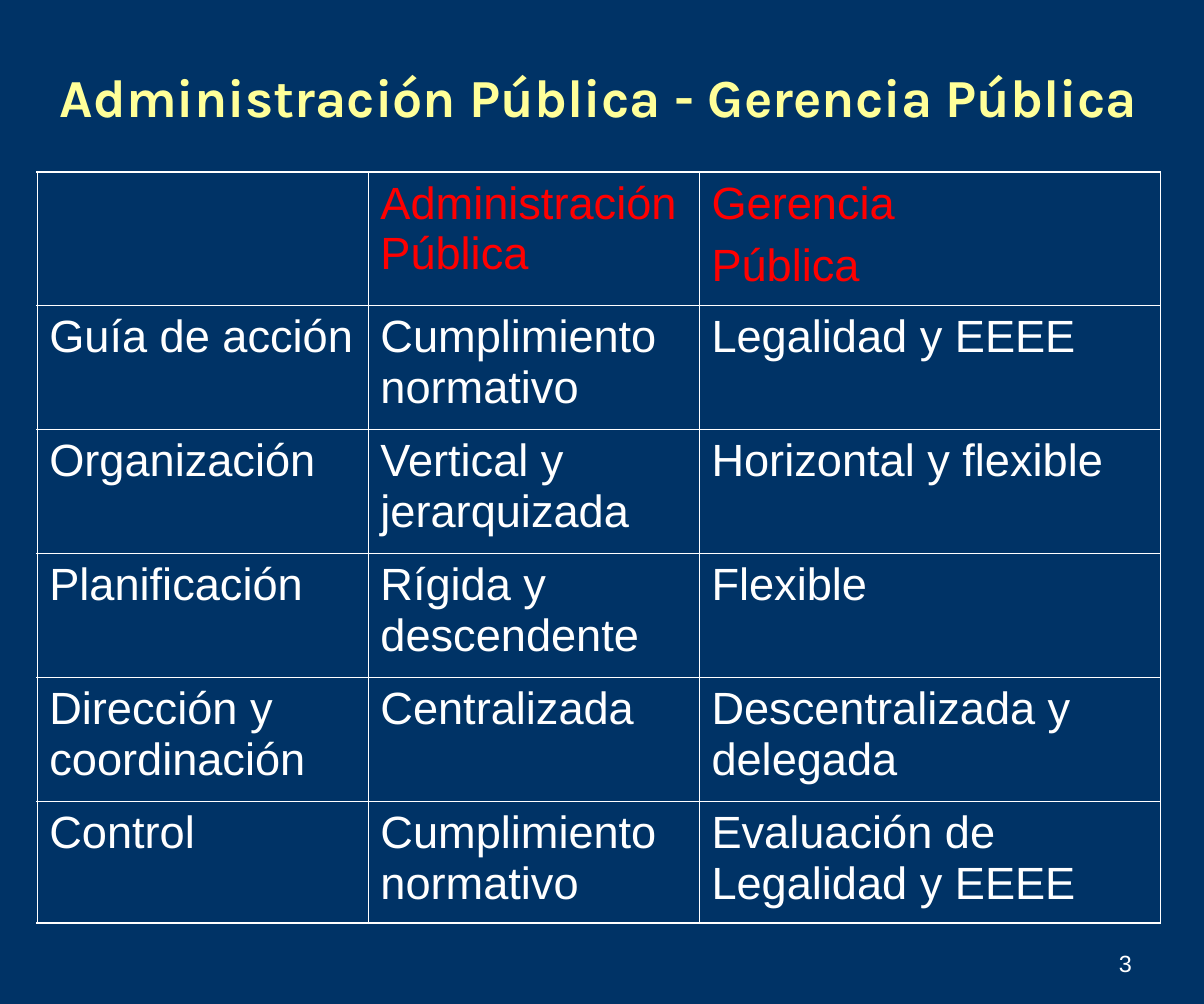
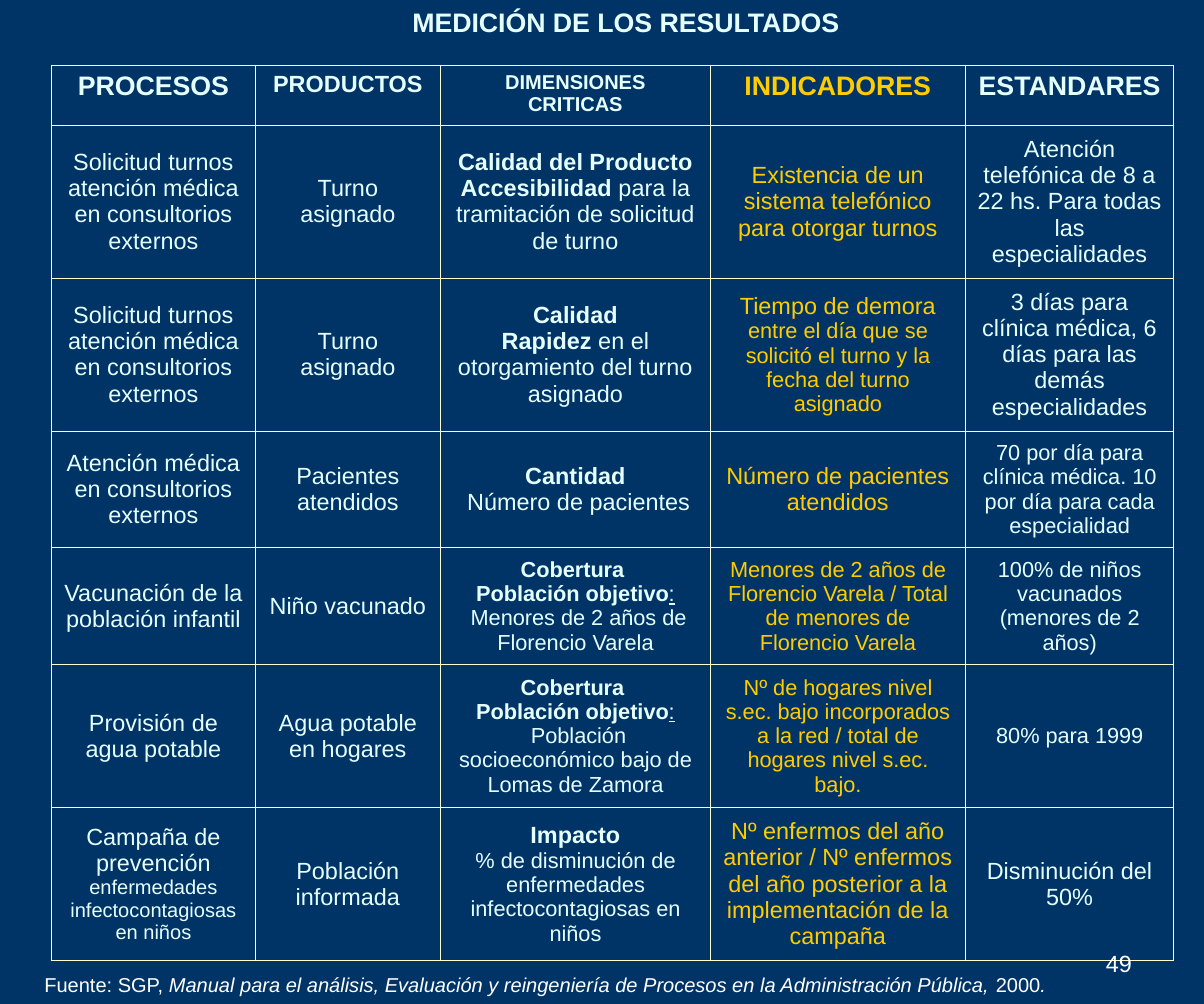
import copy

import pptx
import pptx.dml.color
import pptx.enum.text
import pptx.oxml
import pptx.oxml.ns
import pptx.util

Inches = pptx.util.Inches
Pt = pptx.util.Pt
ALIGN = pptx.enum.text.PP_ALIGN
ANCHOR = pptx.enum.text.MSO_ANCHOR

COLORS = {
    "navy": "003366",
    "lemon": "FFFF99",
    "cream": "FFFFCC",
    "white": "FFFFFF",
    "ice": "E5FFFF",
    "gold": "FFCC00",
    "red": "FF0000",
}


def rgb(name):
    return pptx.dml.color.RGBColor.from_string(COLORS[name])


def run(text, **look):
    """One run of text with what differs from its box."""
    return text, look


class Deck:
    def __init__(self, width, height):
        self.show = pptx.Presentation()
        self.show.slide_width = Inches(width)
        self.show.slide_height = Inches(height)
        self.slide = None

    def page(self, number):
        self.slide = self.show.slides.add_slide(self.show.slide_layouts[6])
        fill = self.slide.background.fill
        fill.solid()
        fill.fore_color.rgb = rgb("navy")
        self.number = number

    def footer(self):
        self.text((7.17, 7.59, 2.33, 0.58), self.number, size=14,
                  align=ALIGN.RIGHT, anchor=ANCHOR.BOTTOM)

    def put(self, frame, content, size, color="white", bold=False,
            font="Arial", align=ALIGN.LEFT, gap=0):
        """Fill a frame; content is a string or a list of paragraphs' runs."""
        paras = [[run(content)]] if isinstance(content, str) else content
        for i, runs in enumerate(paras):
            para = frame.add_paragraph() if i else frame.paragraphs[0]
            para.alignment = align
            if i:
                para.space_before = Pt(gap)
            for text, look in runs:
                base = {"size": size, "bold": bold, "italic": False,
                        "underline": False}
                self.add(para, text, {**base, **look}, color, font)

    def add(self, para, text, look, color, font):
        for i, line in enumerate(text.split("\n")):
            if i:
                para.add_line_break()
                # the break keeps the height of its line
                para._p[-1].append(copy.deepcopy(part._r.rPr))
            if line:
                part = para.add_run()
                part.text = line
                part.font.name = font
                part.font.size = Pt(look["size"])
                part.font.bold = look["bold"]
                part.font.italic = look["italic"]
                part.font.underline = look["underline"]
                part.font.color.rgb = rgb(color)

    def text(self, place, content, anchor=ANCHOR.TOP, **style):
        box = self.slide.shapes.add_textbox(*map(Inches, place))
        frame = box.text_frame
        frame.word_wrap = True
        frame.vertical_anchor = anchor
        self.put(frame, content, **style)

    def table(self, place, widths, heights, rows, style, line, edge):
        """Draw a grid; style(row, col) gives the anchor and text style."""
        left, top = place
        shape = self.slide.shapes.add_table(
            len(heights), len(widths), Inches(left), Inches(top),
            Inches(sum(widths)), Inches(sum(heights)))
        grid = shape.table
        grid.first_row = grid.horz_banding = False
        for col, width in zip(grid.columns, widths):
            col.width = Inches(width)
        for row, height in zip(grid.rows, heights):
            row.height = Inches(height)
        for r, row in enumerate(rows):
            for c, content in enumerate(row):
                cell = grid.cell(r, c)
                cell.fill.background()
                outer = {"L": c == 0, "R": c == len(widths) - 1,
                         "T": r == 0, "B": r == len(heights) - 1}
                self.border(cell, line, outer, edge)
                anchor, look = style(r, c)
                cell.vertical_anchor = anchor
                if content:
                    self.put(cell.text_frame, content, **look)

    def border(self, cell, color, outer, edge):
        props = cell._tc.get_or_add_tcPr()
        for i, (side, rim) in enumerate(outer.items()):
            width = Pt(edge if rim else 0.45)
            props.insert(i, pptx.oxml.parse_xml(
                f'<a:ln{side} {pptx.oxml.ns.nsdecls("a")} w="{width}">'
                f'<a:solidFill><a:srgbClr val="{COLORS[color]}"/>'
                f'</a:solidFill></a:ln{side}>'))


def compare(deck):
    deck.page("3")
    deck.text((0.23, 0.23, 9.49, 1.13),
              "Administración Pública - Gerencia Pública",
              anchor=ANCHOR.MIDDLE, size=32, color="lemon", bold=True,
              font="Karla", align=ALIGN.CENTER)

    rows = [
        ["", "Administración Pública", [[run("Gerencia")], [run("Pública")]]],
        ["Guía de acción", "Cumplimiento normativo", "Legalidad y EEEE"],
        ["Organización", "Vertical y jerarquizada", "Horizontal y flexible"],
        ["Planificación", "Rígida y descendente", "Flexible"],
        ["Dirección y coordinación", "Centralizada",
         "Descentralizada y delegada"],
        ["Control", "Cumplimiento normativo",
         "Evaluación de Legalidad y EEEE"],
    ]

    def style(r, c):
        color = "white" if r else "red"
        return ANCHOR.TOP, {"size": 27, "color": color, "gap": 6.8}

    deck.table((0.31, 1.43), [2.75, 2.75, 3.83], [1.11] + [1.03] * 4 + [1.01],
               rows, style, "white", 1.08)
    deck.footer()


def measure(deck):
    deck.page("49")
    deck.text((2.01, 0, 6.38, 0.37), "MEDICIÓN DE LOS RESULTADOS", size=16,
              color="ice", bold=True, align=ALIGN.CENTER)

    # Source line
    deck.text((0.27, 8.03, 9.7, 0.3), [[
        run("Fuente: SGP, "),
        run("Manual para el análisis, Evaluación y reingeniería de Procesos "
            "en la Administración Pública, ", italic=True),
        run("2000"), run(".", italic=True)]], size=12)

    # Cell content
    def small(text, size=13):
        return [[run(text, size=size)]]

    def lead(head, rest, size=14):
        return [[run(head, bold=True), run(rest, size=size)]]

    def cover(group):
        return [[run("Cobertura \nPoblación objetivo", size=13, bold=True),
                 run(":\n", size=13, underline=True),
                 run(" " + group, size=13)]]

    visit = "Solicitud turnos atención médica en consultorios externos"
    rows = [
        ["PROCESOS", small("PRODUCTOS", 14),
         small("DIMENSIONES\nCRITICAS", 12), "INDICADORES", "ESTANDARES"],
        [visit, "Turno asignado",
         lead("Calidad del Producto\nAccesibilidad",
              " para la tramitación de solicitud de turno"),
         "Existencia de un sistema telefónico para otorgar turnos",
         "Atención telefónica de 8 a 22 hs. Para todas las especialidades"],
        [visit, "Turno asignado",
         lead("Calidad\nRapidez", " en el otorgamiento del turno asignado"),
         [[run("Tiempo de demora "),
           run("entre el día que se solicitó el turno y la fecha del turno "
               "asignado", size=13)]],
         "3 días para clínica médica, 6 días para las demás especialidades"],
        ["Atención médica en consultorios externos", "Pacientes atendidos",
         lead("Cantidad\n", " Número de pacientes"),
         "Número de pacientes atendidos",
         small("70 por día para clínica médica. 10 por día para cada "
               "especialidad")],
        ["Vacunación de la población infantil", "Niño vacunado",
         cover("Menores de 2 años de Florencio Varela"),
         small("Menores de 2 años de Florencio Varela / Total de menores de "
               "Florencio Varela"),
         small("100% de niños vacunados (menores de 2 años)")],
        ["Provisión de agua potable", "Agua potable en hogares",
         cover("Población socioeconómico bajo de Lomas de Zamora"),
         small("Nº de hogares nivel s.ec. bajo incorporados a la red / total "
               "de hogares nivel s.ec. bajo."),
         small("80% para 1999")],
        [[[run("Campaña de prevención "),
           run("enfermedades infectocontagiosas en niños", size=12)]],
         "Población informada",
         lead("Impacto\n", "% de disminución de enfermedades "
              "infectocontagiosas en niños", 13),
         "Nº enfermos del año anterior / Nº enfermos del año posterior a la "
         "implementación de la campaña",
         "Disminución del 50%"],
    ]

    def style(r, c):
        look = {"size": 14 if r else 16, "bold": r == 0,
                "color": "gold" if c == 3 else "ice", "align": ALIGN.CENTER}
        return ANCHOR.MIDDLE if r else ANCHOR.TOP, look

    deck.table((0.43, 0.54), [1.69, 1.54, 2.24, 2.12, 1.73],
               [0.5, 1.27, 1.27, 0.97, 0.97, 1.19, 1.27],
               rows, style, "cream", 0.45)
    deck.footer()


def main():
    deck = Deck(10, 8.34)
    compare(deck)
    measure(deck)
    deck.show.save("out.pptx")


if __name__ == "__main__":
    main()
